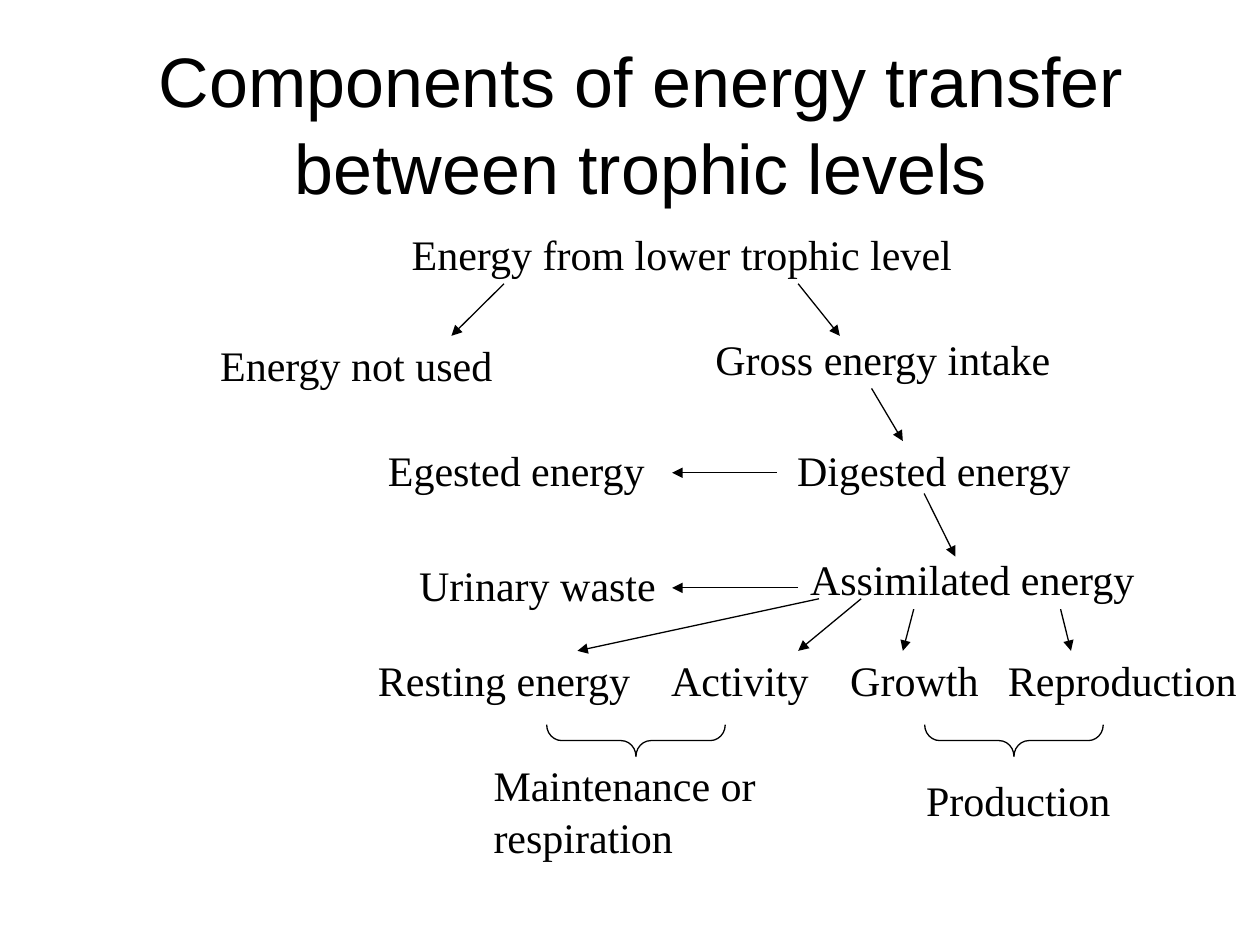
"""Build a slide that charts energy transfer between trophic levels."""
from pptx import Presentation
from pptx.dml.color import RGBColor
from pptx.enum.shapes import MSO_CONNECTOR, MSO_SHAPE
from pptx.enum.text import MSO_ANCHOR, MSO_AUTO_SIZE, PP_ALIGN
from pptx.oxml.ns import qn
from pptx.util import Cm, Pt
from lxml.etree import SubElement

BLACK = RGBColor(0, 0, 0)
WHITE = RGBColor(255, 255, 255)


def write(shape, text, font="Times New Roman", size=24, align=PP_ALIGN.LEFT,
          anchor=MSO_ANCHOR.TOP, wrap=False, fit=MSO_AUTO_SIZE.SHAPE_TO_FIT_TEXT):
    frame = shape.text_frame
    frame.text = text
    frame.word_wrap = wrap
    frame.auto_size = fit
    frame.vertical_anchor = anchor
    for para in frame.paragraphs:
        para.alignment = align
        para.line_spacing = 1.04
        para.font.name = font
        para.font.size = Pt(size)
        para.font.color.rgb = BLACK


deck = Presentation()
deck.slide_width, deck.slide_height = Cm(25.4), Cm(19.05)
slide = deck.slides.add_slide(deck.slide_layouts[5])
slide.background.fill.solid()
slide.background.fill.fore_color.rgb = WHITE
shapes = slide.shapes

title = shapes.title
title.left, title.top, title.width, title.height = Cm(2.12), Cm(0.85), Cm(21.59), Cm(3.18)
write(title, "Components of energy transfer between trophic levels", font="Arial", size=40,
      align=PP_ALIGN.CENTER, anchor=MSO_ANCHOR.MIDDLE, wrap=True, fit=MSO_AUTO_SIZE.NONE)

labels = [
    ("Energy from lower trophic level", 8.05, 4.45, 11.4),
    ("Energy not used", 4.19, 6.67, 6),
    ("Gross energy intake", 14.17, 6.55, 7.26),
    ("Egested energy", 7.57, 8.79, 5.69),
    ("Digested energy", 15.82, 8.79, 6.02),
    ("Urinary waste", 8.2, 11.11, 5.28),
    ("Assimilated energy", 16.08, 11, 7.06),
    ("Resting energy", 7.37, 13.02, 5.61),
    ("Activity", 13.28, 13.02, 3.28),
    ("Growth", 16.89, 13.02, 3.1),
    ("Reproduction", 20.07, 13.02, 5.11),
    ("Maintenance or\nrespiration", 9.7, 15.14, 5.79),
    ("Production", 18.42, 15.45, 4.22),
]
for text, left, top, width in labels:
    height = 0.25 + 1.02 * len(text.split("\n"))
    write(shapes.add_textbox(Cm(left), Cm(top), Cm(width), Cm(height)), text)

arrows = [
    (16.09, 5.72, 16.93, 6.77),
    (10.16, 5.72, 9.1, 6.77),
    (17.57, 7.83, 18.2, 8.89),
    (15.66, 9.53, 13.55, 9.53),
    (18.63, 9.95, 19.26, 11.22),
    (16.09, 11.85, 13.55, 11.85),
    (17.36, 12.07, 16.09, 13.12),
    (16.51, 12.07, 11.64, 13.12),
    (18.42, 12.28, 18.2, 13.12),
    (21.38, 12.28, 21.59, 13.12),
]
for ends in arrows:
    arrow = shapes.add_connector(MSO_CONNECTOR.STRAIGHT, *map(Cm, ends))
    arrow.line.color.rgb = BLACK
    arrow.line.width = Pt(0.75)
    props = arrow.element.spPr
    SubElement(props.find(qn("a:ln")), qn("a:tailEnd"), type="triangle")
    SubElement(props, qn("a:effectLst"))

for left in (12.5, 20.12):
    brace = shapes.add_shape(MSO_SHAPE.RIGHT_BRACE, Cm(left), Cm(13.13), Cm(0.64), Cm(3.6))
    brace.rotation = 90
    brace.adjustments[0] = 0.47
    brace.shadow.inherit = False
    brace.fill.background()
    brace.line.color.rgb = BLACK
    brace.line.width = Pt(0.75)

deck.save("out.pptx")
